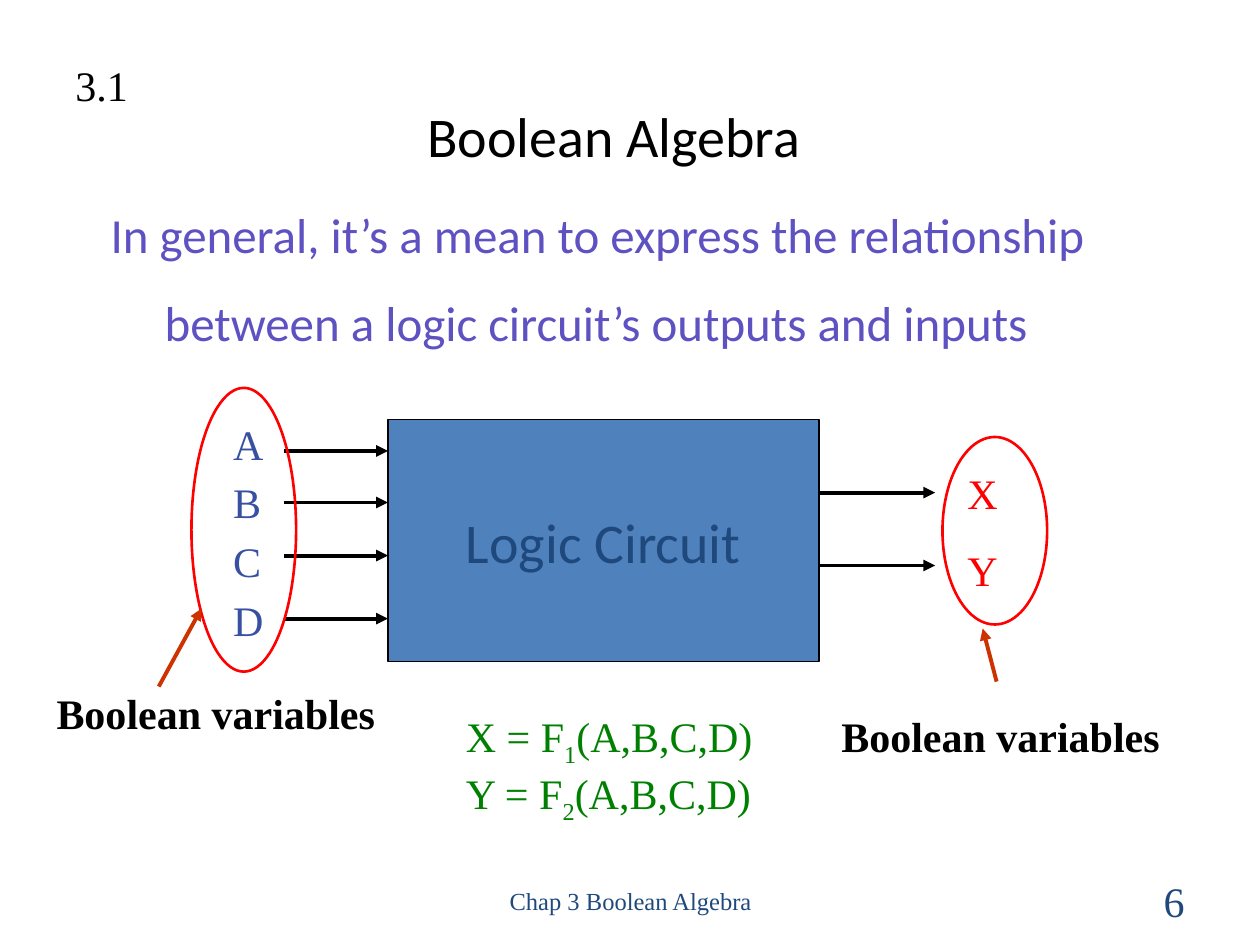
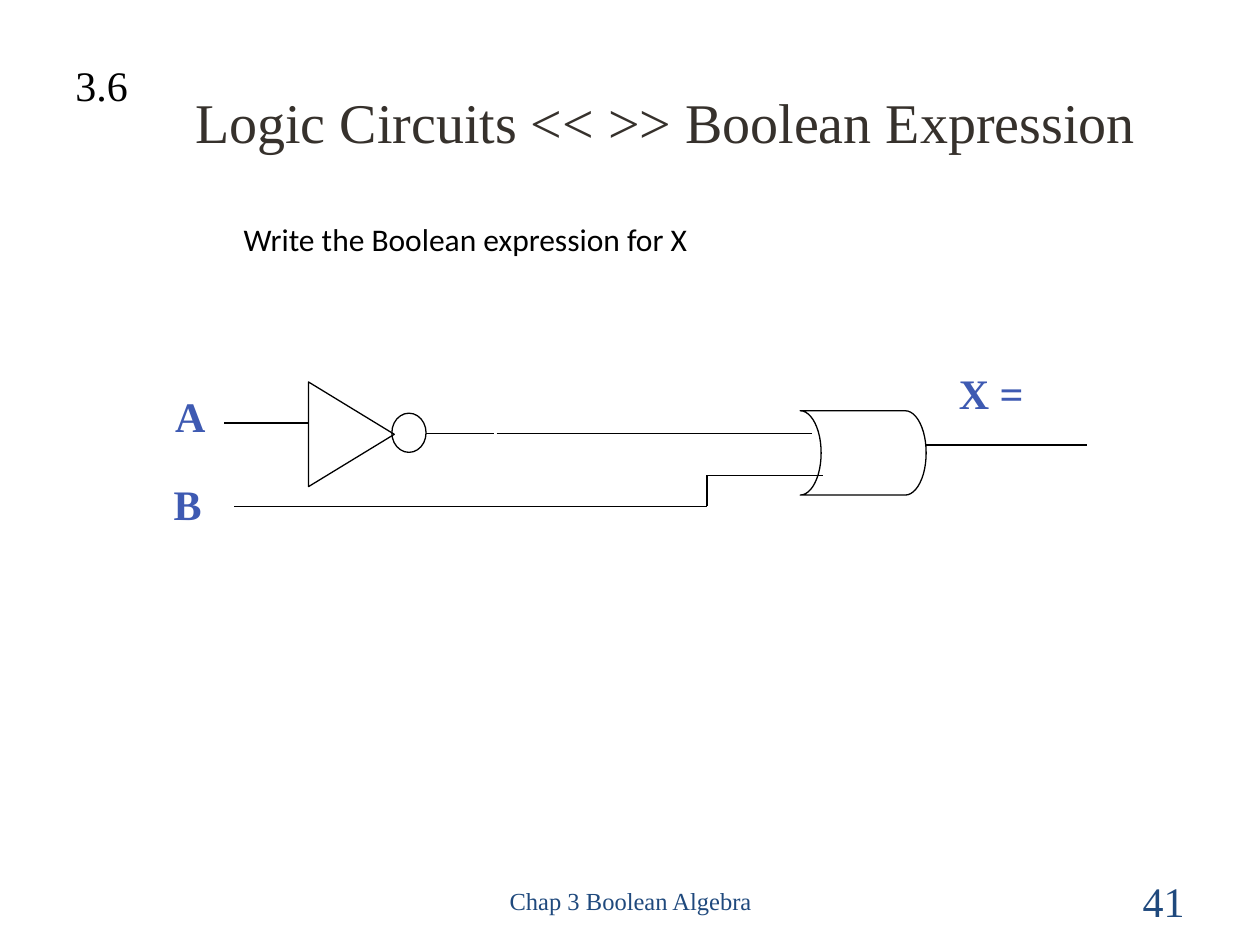
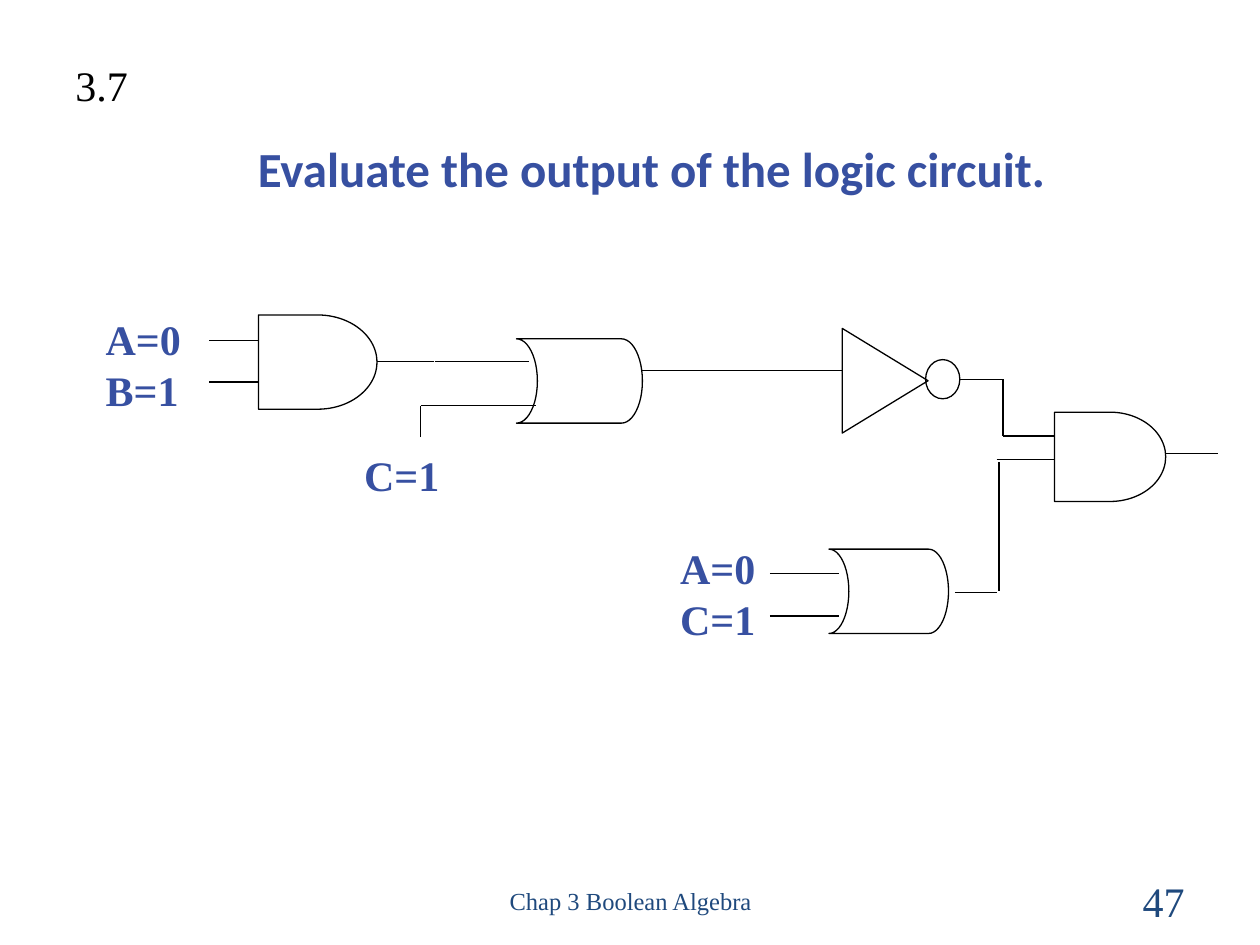
from itertools import pairwise

from pptx import Presentation
from pptx.dml.color import RGBColor as RGB
from pptx.enum.shapes import MSO_CONNECTOR as CONN, MSO_SHAPE as SHAPE
from pptx.enum.text import MSO_ANCHOR as ANCHOR, MSO_AUTO_SIZE as AUTO, PP_ALIGN as ALIGN
from pptx.oxml.ns import qn
from pptx.util import Cm, Pt

COLORS = {
    "black": "000000", "navy": "1F497D", "violet": "5E51C1", "steel": "4F81BD",
    "red": "FF0000", "rust": "CC3300", "green": "008000", "blue": "3750A1",
    "label": "3E5AB2", "charcoal": "36312C",
}
SERIF, SANS = "Times New Roman", "Calibri"
TITLE_ONLY = 5


def color(name):
    return RGB.from_string(COLORS[name])


# --- Text ---
def format_par(p, size, hue, font, bold=False, align=ALIGN.LEFT):
    p.alignment = align
    f = p.font
    f.name, f.size, f.bold = font, Pt(size), bold
    f.color.rgb = color(hue)


def add_text(slide, box, lines, size=24, hue="black", font=SERIF, bold=False,
             align=ALIGN.LEFT, wrap=True, anchor=ANCHOR.TOP, gap=0, spacing=None):
    tf = slide.shapes.add_textbox(*map(Cm, box)).text_frame
    tf.word_wrap, tf.vertical_anchor = wrap, anchor
    tf.auto_size = AUTO.NONE if anchor == ANCHOR.MIDDLE else AUTO.SHAPE_TO_FIT_TEXT
    for i, line in enumerate(lines):
        p = tf.paragraphs[0] if i == 0 else tf.add_paragraph()
        p.text = line
        if i:
            p.space_before = Pt(gap)
        if spacing:
            p.line_spacing = spacing
        format_par(p, size, hue, font, bold, align)
    return tf


def set_title(slide, box, text, size, hue, font=SANS, bold=False):
    sp = slide.shapes.title
    sp.left, sp.top, sp.width, sp.height = map(Cm, box)
    tf = sp.text_frame
    tf.text = text
    tf.auto_size, tf.vertical_anchor = AUTO.NONE, ANCHOR.MIDDLE
    format_par(tf.paragraphs[0], size, hue, font, bold, ALIGN.CENTER)


# --- Shapes and lines ---
def add_outline(slide, kind, box, hue="black", width=0.75, fill=None, rotation=0):
    sp = slide.shapes.add_shape(kind, *map(Cm, box))
    sp.shadow.inherit = False
    sp.rotation = rotation
    sp.line.color.rgb, sp.line.width = color(hue), Pt(width)
    if fill:
        sp.fill.solid()
        sp.fill.fore_color.rgb = color(fill)
    else:
        sp.fill.background()
    return sp


def add_line(slide, start, end, hue="black", width=0.75, arrow=False):
    c = slide.shapes.add_connector(CONN.STRAIGHT, *map(Cm, (*start, *end)))
    c.line.color.rgb, c.line.width = color(hue), Pt(width)
    if arrow:
        ln = c.line._get_or_add_ln()
        ln.append(ln.makeelement(qn("a:tailEnd"), {"type": "triangle"}))
    spPr = c._element.spPr
    spPr.append(spPr.makeelement(qn("a:effectLst"), {}))


def add_wires(slide, left, top, routes):
    for route in routes:
        points = [(left + x, top + y) for x, y in route]
        for start, end in pairwise(points):
            add_line(slide, start, end)


# --- Logic gates ---
def and_gate(slide, left, top, width, height):
    add_outline(slide, SHAPE.FLOWCHART_DELAY, (left, top, width, height))


def or_gate(slide, left, top, width=2.54, height=1.7):
    add_outline(slide, SHAPE.FLOWCHART_STORED_DATA, (left, top, width, height), rotation=180)


def inverter(slide, left, top, width=1.73, height=2.11):
    # The triangle is turned, so its frame has the sides swapped about the same centre
    shift = (height - width) / 2
    add_outline(slide, SHAPE.FLOWCHART_MERGE,
                (left - shift, top + shift, height, width), rotation=270)
    add_outline(slide, SHAPE.OVAL, (left + 1.68, top + 0.63, 0.69, 0.79))


# --- Parts every slide shares ---
def new_slide(prs, section, number):
    slide = prs.slides.add_slide(prs.slide_layouts[TITLE_ONLY])
    add_text(slide, (8.69, 17.65, 8.05, 1.02), ["Chap 3 Boolean Algebra"], 14, "navy",
             align=ALIGN.CENTER, anchor=ANCHOR.MIDDLE)
    add_text(slide, (18.21, 17.65, 5.92, 1.02), [str(number)], hue="navy",
             align=ALIGN.RIGHT, anchor=ANCHOR.MIDDLE)
    add_text(slide, (1.27, 1.07, 1.57, 1.27), [section], wrap=False)
    return slide


# --- Slide 6: block diagram ---
def equations(slide, box):
    tf = add_text(slide, box, ["", ""], hue="green")
    for p, output, index in zip(tf.paragraphs, "XY", "12"):
        for text in (f"{output} = F", index, "(A,B,C,D)"):
            r = p.add_run()
            r.text = text
            if text == index:
                r._r.get_or_add_rPr().set("baseline", "-25000")


def block_diagram(slide, left, top):
    def at(x, y, *size):
        return (left + x, top + y, *size)

    # Circuit block
    block = add_outline(slide, SHAPE.RECTANGLE, at(6.93, 0.64, 8.69, 4.88), fill="steel")
    tf = block.text_frame
    tf.text, tf.word_wrap, tf.vertical_anchor = "Logic Circuit", False, ANCHOR.MIDDLE
    format_par(tf.paragraphs[0], 32, "navy", SANS, align=ALIGN.CENTER)

    # Input and output arrows
    for x1, x2, heights in ((4.83, 6.93, (1.27, 2.31, 3.38, 4.65)),
                            (15.62, 17.96, (2.11, 3.58))):
        for y in heights:
            add_line(slide, at(x1, y), at(x2, y), width=2.25, arrow=True)

    # Variables and their rings
    add_text(slide, at(18.36, 1.48, 1.7, 2.59), "XY", hue="red", gap=15)
    add_text(slide, at(3.56, 0.64, 1.12, 4.57), "ABCD", hue="blue", wrap=False,
             gap=9, spacing=0.85)
    add_outline(slide, SHAPE.OVAL, at(2.97, 0, 2.11, 5.72), "red", 1.5)
    add_outline(slide, SHAPE.OVAL, at(18.11, 0.99, 2.11, 3.78), "red", 1.5)

    # Captions pointing at the rings
    for caption, tail, head in (((0, 5.92), (2.31, 6.02), (3.17, 4.45)),
                                ((15.82, 6.38), (19.2, 5.92), (18.92, 4.85))):
        add_line(slide, at(*tail), at(*head), "rust", 2.25, arrow=True)
        add_text(slide, at(*caption, 6.93, 1.27), ["Boolean variables"], bold=True, wrap=False)

    equations(slide, at(8.25, 6.38, 7.42, 2.29))


def algebra_slide(prs):
    slide = new_slide(prs, "3.1", 6)
    set_title(slide, (6.88, 1.88, 11, 1.7), "Boolean Algebra", 32, "black")
    tf = add_text(slide, (1.47, 3.4, 22.66, 3.61),
                  ["In general, it’s a mean to express the relationship "
                   "between a logic circuit’s outputs and inputs"],
                  28, "violet", SANS, spacing=1.5)
    pPr = tf.paragraphs[0]._p.get_or_add_pPr()
    pPr.set("marL", str(Cm(1.6)))
    pPr.set("indent", str(Cm(-1.09)))
    block_diagram(slide, 0.89, 7.82)


# --- Slide 41: inverter feeding an OR gate ---
def expression_circuit(slide, left, top):
    for text, x, y, width in (("A", 0.03, 0.46, 1.12), ("B", 0, 2.24, 1.07),
                              ("X =", 15.83, 0, 2.03)):
        add_text(slide, (left + x, top + y, width, 1.27), [text], hue="label",
                 bold=True, wrap=False)
    inverter(slide, left + 2.97, top + 0.41)
    or_gate(slide, left + 12.88, top + 0.99)
    add_wires(slide, left, top, [
        [(1.27, 1.24), (2.97, 1.24)],
        [(5.34, 1.45), (6.71, 1.45)],
        [(6.76, 1.45), (11.2, 1.45), (13.11, 1.45)],
        [(1.47, 2.92), (11, 2.92), (11, 2.29), (13.34, 2.29)],
        [(15.42, 1.68), (18.67, 1.68)],
    ])


def expression_slide(prs):
    slide = new_slide(prs, "3.6", 41)
    set_title(slide, (3.45, 1.65, 19.94, 1.6), "Logic Circuits << >> Boolean Expression",
              32, "charcoal", SERIF)
    add_text(slide, (2.77, 4.32, 13.23, 1.27), ["Write the Boolean expression for X"],
             18, font=SANS, align=ALIGN.CENTER)
    expression_circuit(slide, 3.25, 7.29)


# --- Slide 47: circuit to evaluate ---
def evaluation_circuit(slide, left, top):
    for lines, x, y, width, height in ((["A=0", "B=1"], 0, 0, 2.16, 2.29),
                                       (["C=1"], 5.21, 2.74, 3.35, 1.27),
                                       (["A=0", "C=1"], 11.58, 4.62, 3.45, 2.29)):
        add_text(slide, (left + x, top + y, width, height), lines, hue="blue", bold=True)
    and_gate(slide, left + 3.33, top + 0.15, 2.39, 1.9)
    or_gate(slide, left + 8.53, top + 0.63)
    inverter(slide, left + 15.1, top + 0.42)
    and_gate(slide, left + 19.38, top + 2.11, 2.24, 1.8)
    or_gate(slide, left + 14.83, top + 4.87, 2.41)
    add_wires(slide, left, top, [
        # First AND gate
        [(2.34, 0.66), (3.33, 0.66)],
        [(2.34, 1.5), (3.33, 1.5)],
        [(5.71, 1.09), (6.86, 1.09)],
        # Upper OR gate
        [(6.88, 1.09), (8.79, 1.09)],
        [(6.6, 2.61), (6.6, 1.98), (8.92, 1.98)],
        [(11.07, 1.27), (13.23, 1.27), (15.1, 1.27)],
        # Inverter to last AND gate
        [(17.47, 1.45), (18.34, 1.45), (18.34, 2.59), (19.38, 2.59)],
        [(18.21, 3.07), (19.38, 3.07)],
        [(21.62, 2.94), (22.68, 2.94)],
        # Lower OR gate
        [(13.64, 5.36), (15.04, 5.36)],
        [(13.64, 6.22), (15.04, 6.22)],
        [(17.37, 5.74), (18.21, 5.74)],
        [(18.26, 5.71), (18.26, 3.12)],
    ])


def evaluation_slide(prs):
    slide = new_slide(prs, "3.7", 47)
    set_title(slide, (2.87, 2.54, 20.52, 1.7), "Evaluate the output of the logic circuit.",
              28, "blue", bold=True)
    evaluation_circuit(slide, 1.88, 6.2)


def main():
    prs = Presentation()
    prs.slide_width, prs.slide_height = Cm(25.4), Cm(19.05)
    algebra_slide(prs)
    expression_slide(prs)
    evaluation_slide(prs)
    prs.save("out.pptx")


if __name__ == "__main__":
    main()
